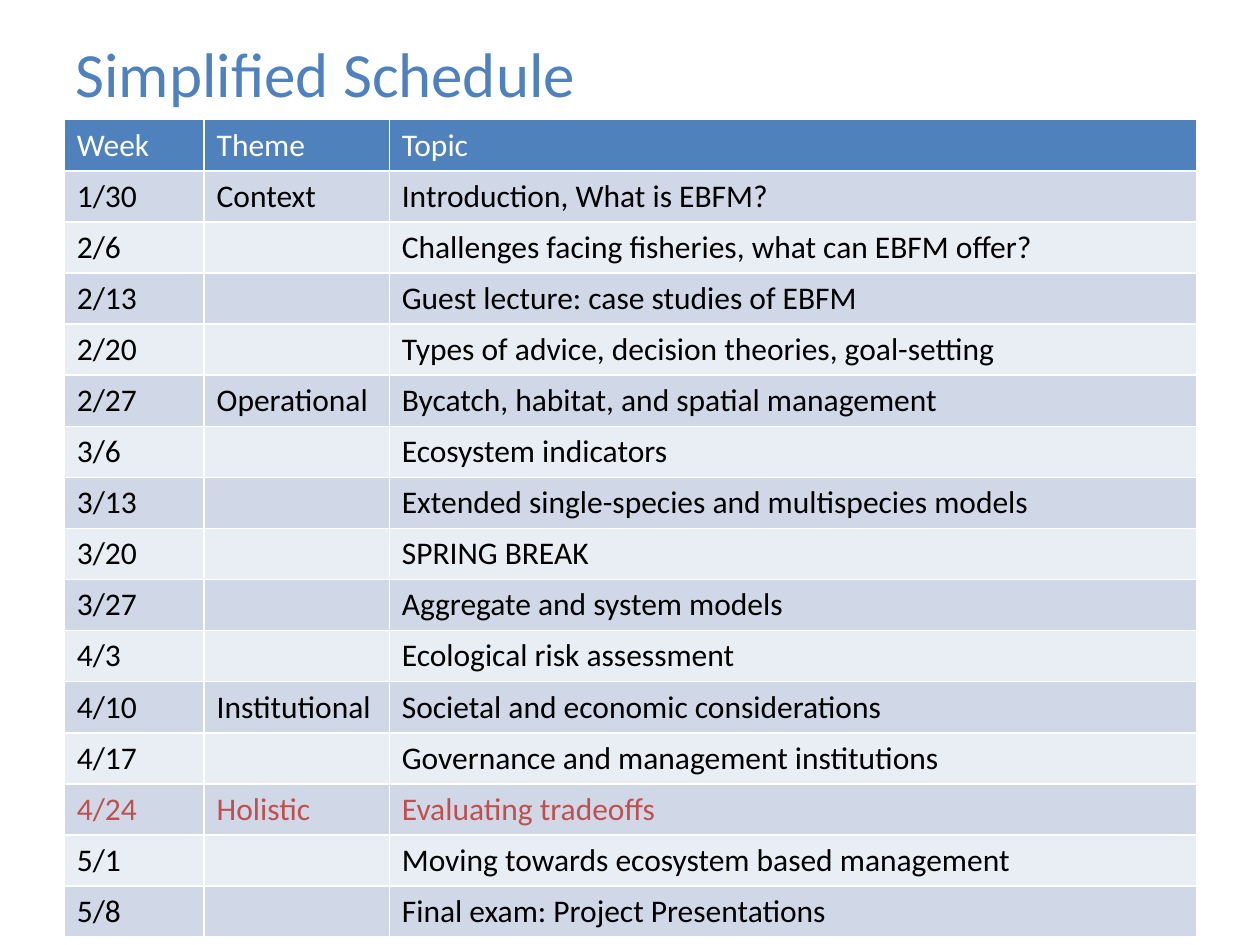
from pptx import Presentation
from pptx.dml.color import RGBColor
from pptx.enum import text
from pptx.util import Inches, Pt

FONT = "Calibri"
COLORS = {"accent": "4F81BD", "header_text": "FFFFFF", "body_text": "000000",
          "highlight": "C0504D", "odd_band": "D0D8E8", "even_band": "E9EDF4"}

TITLE = "Simplified Schedule"
HEADER = ("Week", "Theme", "Topic")
SCHEDULE = [
    ("1/30", "Context", "Introduction, What is EBFM?"),
    ("2/6", "", "Challenges facing fisheries, what can EBFM offer?"),
    ("2/13", "", "Guest lecture: case studies of EBFM"),
    ("2/20", "", "Types of advice, decision theories, goal-setting"),
    ("2/27", "Operational", "Bycatch, habitat, and spatial management"),
    ("3/6", "", "Ecosystem indicators"),
    ("3/13", "", "Extended single-species and multispecies models"),
    ("3/20", "", "SPRING BREAK"),
    ("3/27", "", "Aggregate and system models"),
    ("4/3", "", "Ecological risk assessment"),
    ("4/10", "Institutional", "Societal and economic considerations"),
    ("4/17", "", "Governance and management institutions"),
    ("4/24", "Holistic", "Evaluating tradeoffs"),
    ("5/1", "", "Moving towards ecosystem based management"),
    ("5/8", "", "Final exam: Project Presentations"),
]
CURRENT_WEEK = "4/24"
COLUMN_WIDTHS = (1.11, 1.47, 6.41)
TABLE_HEIGHT = 6.49


def color(name):
    return RGBColor.from_string(COLORS[name])


def write(frame, words, size, color_name):
    frame.text = words
    for span in frame.paragraphs[0].runs:
        span.font.name = FONT
        span.font.size = Pt(size)
        span.font.bold = False
        span.font.color.rgb = color(color_name)


def row_colors(index, week):
    """Return the fill and text colour names of a table row."""
    if index == 0:
        return "accent", "header_text"
    band = "odd_band" if index % 2 else "even_band"
    return band, "highlight" if week == CURRENT_WEEK else "body_text"


deck = Presentation()
deck.slide_width, deck.slide_height = Inches(10), Inches(7.5)
page = deck.slides.add_slide(deck.slide_layouts[5])

# Title
title = page.shapes.title
title.left, title.top = Inches(0.5), Inches(0.2)
title.width, title.height = Inches(9), Inches(0.75)
write(title.text_frame, TITLE, 36, "accent")
title.text_frame.vertical_anchor = text.MSO_ANCHOR.MIDDLE
title.text_frame.paragraphs[0].alignment = text.PP_ALIGN.LEFT

# Schedule table: the default style draws the white cell borders
rows = [HEADER] + SCHEDULE
table = page.shapes.add_table(
    len(rows), len(HEADER), Inches(0.51), Inches(0.95),
    Inches(sum(COLUMN_WIDTHS)), Inches(TABLE_HEIGHT)).table
for column, width in zip(table.columns, COLUMN_WIDTHS):
    column.width = Inches(width)

for index, entries in enumerate(rows):
    table.rows[index].height = Inches(TABLE_HEIGHT / len(rows))
    fill, ink = row_colors(index, entries[0])
    for cell, words in zip(table.rows[index].cells, entries):
        cell.fill.solid()
        cell.fill.fore_color.rgb = color(fill)
        write(cell.text_frame, words, 18, ink)

deck.save("out.pptx")
